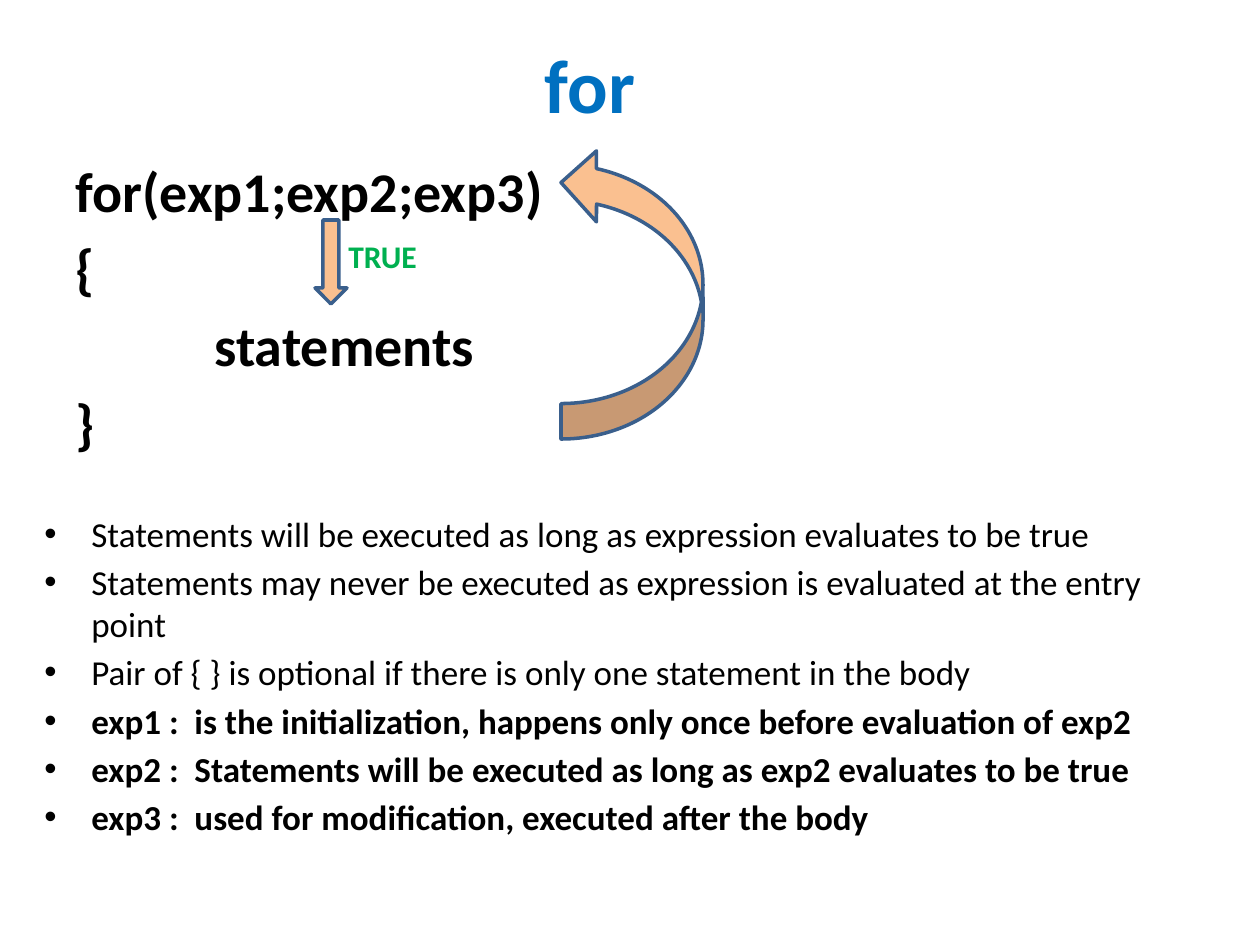
from lxml.etree import SubElement
from pptx import Presentation
from pptx.dml.color import RGBColor
from pptx.enum.shapes import MSO_SHAPE
from pptx.enum.text import MSO_ANCHOR, PP_ALIGN
from pptx.oxml.ns import qn
from pptx.util import Emu, Pt

BLACK = RGBColor(0x00, 0x00, 0x00)
BLUE = RGBColor(0x00, 0x70, 0xC0)
GREEN = RGBColor(0x00, 0xB0, 0x50)
PEACH = RGBColor(0xFA, 0xC0, 0x90)
STEEL = RGBColor(0x3A, 0x5F, 0x8C)

PX_PER_INCH = 126
HANGING = 47
STATEMENT_INDENT = 139
SPACE_RATIO = 0.18


def px(length):
    return Emu(round(length * 914400 / PX_PER_INCH))


class SlideBuilder:
    font = "Calibri"

    def __init__(self, slide):
        self.slide = slide

    def text(self, left, top, width, height, lines, size, color=BLACK,
             bold=False, align=PP_ALIGN.LEFT, anchor=MSO_ANCHOR.TOP, wrap=True):
        box = self.slide.shapes.add_textbox(px(left), px(top), px(width), px(height))
        frame = box.text_frame
        frame.word_wrap = wrap
        frame.vertical_anchor = anchor
        frame.text = "\n".join(lines)
        for number, para in enumerate(frame.paragraphs):
            para.alignment = align
            if number:
                para.space_before = Pt(round(size * SPACE_RATIO, 2))
            for span in para.runs:
                span.font.name = self.font
                span.font.size = Pt(size)
                span.font.bold = bold
                span.font.color.rgb = color
        return frame.paragraphs

    def indent(self, para, margin, first_line=0):
        properties = para._p.get_or_add_pPr()
        properties.set("marL", str(px(margin)))
        properties.set("indent", str(px(first_line)))
        return properties

    def bullet(self, para):
        properties = self.indent(para, HANGING, -HANGING)
        SubElement(properties, qn("a:buFont")).set("typeface", "Arial")
        SubElement(properties, qn("a:buChar")).set("char", "•")

    def arrow(self, kind, left, top, width, height, rotation=0):
        shape = self.slide.shapes.add_shape(kind, px(left), px(top), px(width), px(height))
        shape.rotation = rotation
        shape.shadow.inherit = False
        shape.fill.solid()
        shape.fill.fore_color.rgb = PEACH
        shape.line.color.rgb = STEEL
        shape.line.width = Pt(2)


def main():
    deck = Presentation()
    deck.slide_width, deck.slide_height = px(1260), px(945)
    builder = SlideBuilder(deck.slides.add_slide(deck.slide_layouts[6]))

    # Title
    builder.text(23, 25, 1134, 116, ["for"], 43.2, BLUE, bold=True,
                 align=PP_ALIGN.CENTER, anchor=MSO_ANCHOR.MIDDLE)

    # Loop syntax
    syntax = builder.text(63, 150, 1134, 621,
                          ["for(exp1;exp2;exp3)", "{", "statements", "}"], 32, bold=True)
    builder.indent(syntax[2], STATEMENT_INDENT)

    # Entry into the body when the condition holds
    builder.arrow(MSO_SHAPE.DOWN_ARROW, 315, 220, 32, 84)
    builder.text(336, 231, 96, 50, ["TRUE"], 18, GREEN, bold=True, wrap=False)

    # Explanation
    notes = builder.text(32, 506, 1187, 439, [
        "Statements will be executed as long as expression evaluates to be true",
        "Statements may never be executed as expression is evaluated at the entry point",
        "Pair of { } is optional if there is only one statement in the body",
        "exp1 :  is the initialization, happens only once before evaluation of exp2",
        "exp2 :  Statements will be executed as long as exp2 evaluates to be true",
        "exp3 :  used for modification, executed after the body",
    ], 20)
    for para in notes:
        builder.bullet(para)
        para.runs[0].font.bold = para.text.startswith("exp")

    # Return to the loop header
    builder.arrow(MSO_SHAPE.CURVED_UP_ARROW, 486, 222, 292, 142, rotation=270)

    deck.save("out.pptx")


if __name__ == "__main__":
    main()
